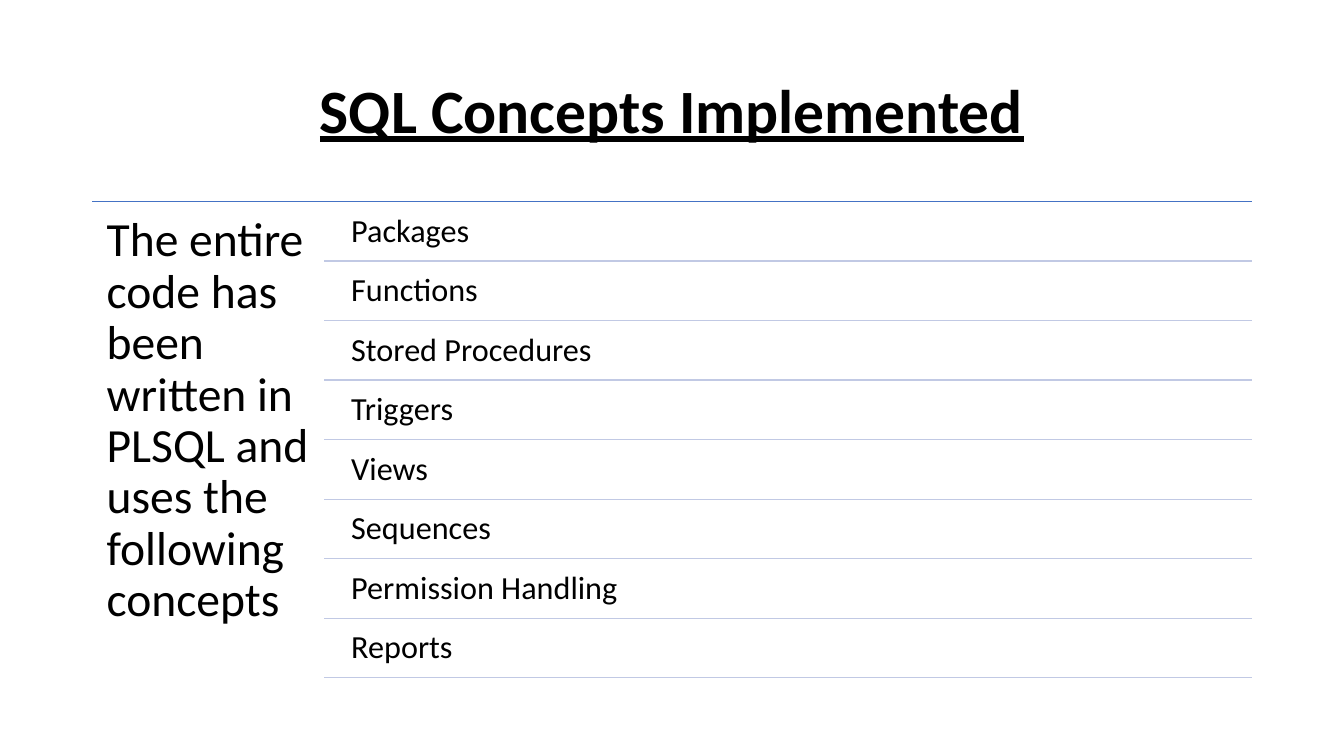
from lxml import etree
from pptx import Presentation
from pptx.dml.color import RGBColor
from pptx.enum.shapes import MSO_CONNECTOR as CONN
from pptx.enum.text import MSO_ANCHOR as ANCHOR, PP_ALIGN as ALIGN
from pptx.oxml.ns import qn
from pptx.util import Cm, Pt

COLORS = {"text": "000000", "head_rule": "4472C4", "row_rule": "C1C9E4"}
CONCEPTS = ["Packages", "Functions", "Stored Procedures", "Triggers",
            "Views", "Sequences", "Permission Handling", "Reports"]


def add_text(s, box, text, inset, anchor=ANCHOR.TOP, align=ALIGN.LEFT, **font):
    """Add a wrapped text box at box (left, top, width, height in cm)."""
    tf = s.shapes.add_textbox(*map(Cm, box)).text_frame
    frame = {"word_wrap": True, "vertical_anchor": anchor}
    for side, size in zip(("left", "top", "right", "bottom"), inset):
        frame[f"margin_{side}"] = Cm(size)
    for name, value in frame.items():
        setattr(tf, name, value)
    p = tf.paragraphs[0]
    p.alignment, p.line_spacing = align, 0.9
    r = p.add_run()
    r.text = text
    for name, value in {"name": "Calibri", **font}.items():
        setattr(r.font, name, value)
    r.font.color.rgb = RGBColor.from_string(COLORS["text"])


def add_rule(s, left, right, y, color):
    """Add a horizontal 1 pt rule between two x positions in cm."""
    sp = s.shapes.add_connector(CONN.STRAIGHT, Cm(left), Cm(y), Cm(right), Cm(y))
    sp.line.color.rgb = RGBColor.from_string(COLORS[color])
    sp.line.width = Pt(1)
    etree.SubElement(sp._element.spPr, qn("a:effectLst"))


def add_title(s, box):
    """Add the centred, underlined slide title."""
    add_text(s, box, "SQL Concepts Implemented", (0.25, 0.13, 0.25, 0.13),
             ANCHOR.MIDDLE, ALIGN.CENTER, size=Pt(44), bold=True, underline=True)


def add_concepts(s, box):
    """Add the intro column and the ruled list of concepts beside it."""
    left, top, width, height = box
    right, intro_width = left + width, width / 5
    row_left, pitch = left + intro_width, height / len(CONCEPTS)
    indent, gap = 0.43, 0.07
    add_rule(s, left, right, top, "head_rule")
    add_text(s, (left, top, intro_width, height),
             "The entire code has been written in PLSQL and uses the following concepts",
             (0.36,) * 4, size=Pt(34))
    for i, concept in enumerate(CONCEPTS):
        y = top + i * pitch
        add_text(s, (row_left + indent, y + gap, right - row_left - indent, pitch - gap),
                 concept, (0.25,) * 4, size=Pt(23))
        add_rule(s, row_left, right, y + pitch, "row_rule")


def main():
    """Build and save the slide."""
    prs = Presentation()
    prs.slide_width, prs.slide_height = Cm(33.87), Cm(19.05)
    s = prs.slides.add_slide(prs.slide_layouts[6])
    add_title(s, (2.33, 1.01, 29.21, 3.68))
    add_concepts(s, (2.33, 5.08, 29.21, 12))
    prs.save("out.pptx")


if __name__ == "__main__":
    main()
